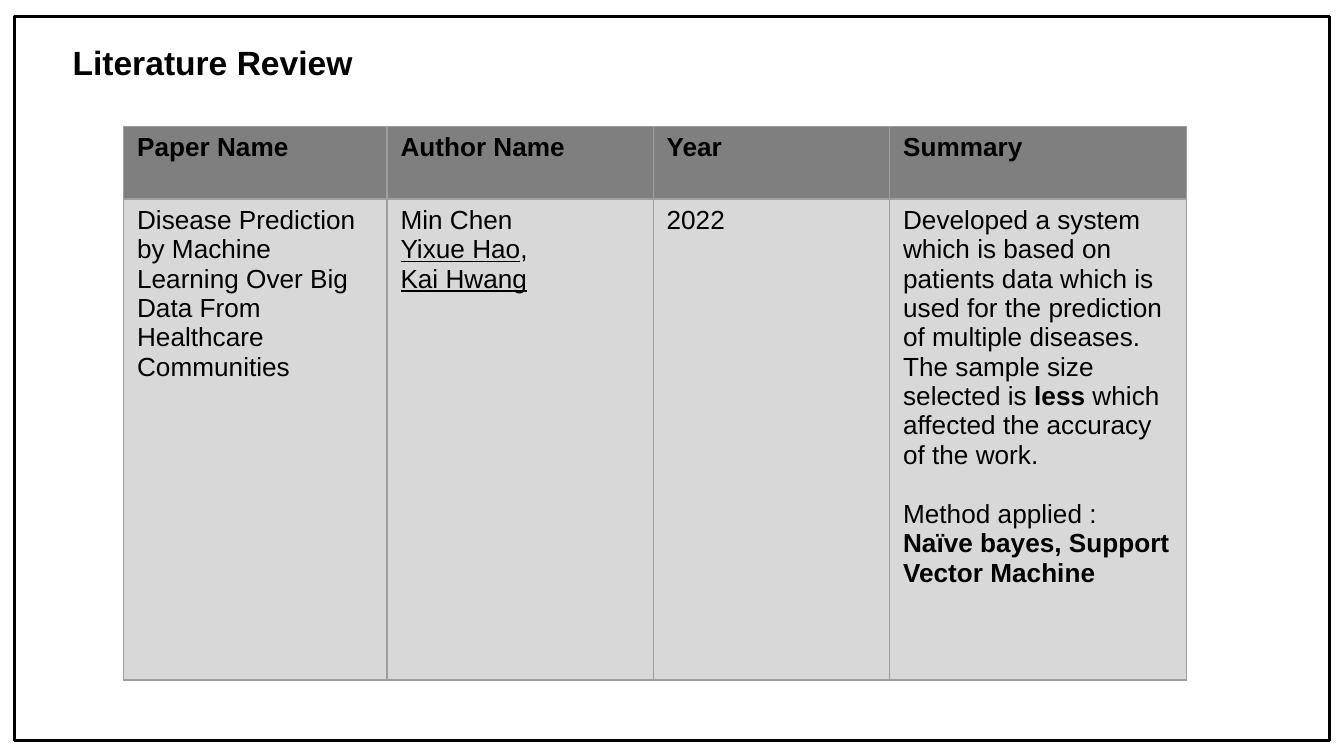
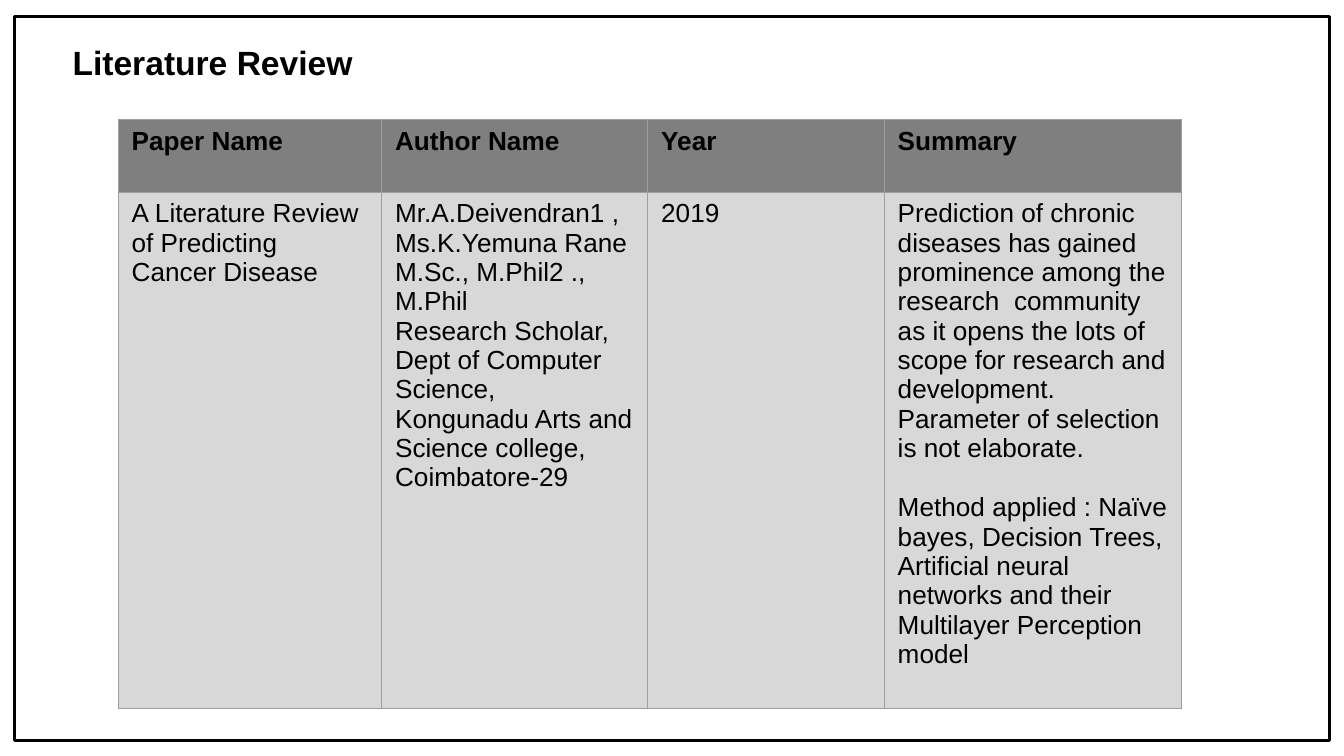
from pptx import Presentation
from pptx.dml.color import RGBColor as RGB
from pptx.enum.shapes import MSO_SHAPE as SHAPE
from pptx.enum.text import MSO_ANCHOR as ANCHOR, MSO_AUTO_SIZE as FIT, PP_ALIGN as ALIGN
from pptx.oxml import parse_xml
from pptx.oxml.ns import nsdecls
from pptx.util import Inches, Pt

TITLE = "Literature Review"
HEADS = ["Paper Name", "Author Name", "Year", "Summary"]
BOLD = {"bold": True}
LINE = {"underline": True}

PAPERS = [
    {
        "at": (0.92, 0.94),
        "rows": (0.54, 3.58),
        "cells": [
            [[("Disease Prediction by Machine Learning Over Big Data From "
               "Healthcare Communities", {})]],
            [[("Min Chen", {})],
             [("Yixue Hao", LINE), (",", {})],
             [("Kai Hwang", LINE)]],
            [[("2022", {})]],
            [[("Developed a system which is based on patients data which is used "
               "for the prediction of multiple diseases. The sample size selected is ", {}),
              ("less", BOLD),
              (" which affected the accuracy of the work.", {})],
             [("Method applied : ", {}),
              ("Naïve bayes, Support Vector Machine", BOLD)]],
        ],
    },
    {
        "at": (0.88, 0.89),
        "rows": (0.54, 3.84),
        "cells": [
            [[("A Literature Review of Predicting Cancer Disease", {})]],
            [[("Mr.A.Deivendran1 , Ms.K.Yemuna Rane M.Sc., M.Phil2 ., M.Phil", {})],
             [("Research Scholar, Dept of Computer Science, Kongunadu Arts and "
               "Science college, Coimbatore-29", {})]],
            [[("2019", {})]],
            [[("Prediction of chronic diseases has gained prominence among the "
               "research  community as it opens the lots of scope for research and "
               "development. Parameter of selection is not elaborate.", {})],
             [("Method applied : Naïve bayes, Decision Trees, Artificial neural "
               "networks and their Multilayer Perception model", {})]],
        ],
    },
]

COLS = (1.96, 1.98, 1.76, 2.21)
BLACK, DARK, LIGHT, EDGE = "000000", "7F7F7F", "D8D8D8", "9E9E9E"
BODY = {"name": "Arial", "size": Pt(14), "bold": False}
HEAD = {**BODY, "bold": True}
TOP = {**HEAD, "size": Pt(18)}
GAP = Pt(16)


def paint(part, hue):
    part.rgb = RGB.from_string(hue)


def write(par, text, form):
    run = par.add_run()
    run.text = text
    for key, val in form.items():
        setattr(run.font, key, val)
    paint(run.font.color, BLACK)


def place(shape, *box):
    for key, val in zip(("left", "top", "width", "height"), box):
        setattr(shape, key, Inches(val))


def add_frame(slide):
    frame = slide.shapes.add_shape(SHAPE.RECTANGLE, 0, 0, 0, 0)
    place(frame, 0.11, 0.12, 9.78, 5.39)
    frame.fill.background()
    paint(frame.line.color, BLACK)
    frame.line.width = Pt(1.5)
    frame.shadow.inherit = False
    slide.slide_layout.shapes.element.append(frame.element)


def add_title(slide):
    title = slide.shapes.title
    place(title, 0.44, 0.26, 4.44, 0.4)
    box = title.text_frame
    for key, val in {"auto_size": FIT.NONE, "word_wrap": True,
                     "vertical_anchor": ANCHOR.TOP}.items():
        setattr(box, key, val)
    box.paragraphs[0].alignment = ALIGN.LEFT
    write(box.paragraphs[0], TITLE, TOP)


def fill_cell(cell, pars, form, hue, gap):
    props = cell._tc.get_or_add_tcPr()
    for side in "LRTB":
        props.append(parse_xml(
            f'<a:ln{side} {nsdecls("a")} w="{Pt(0.75)}"><a:solidFill>'
            f'<a:srgbClr val="{EDGE}"/></a:solidFill></a:ln{side}>'))
    cell.fill.solid()
    paint(cell.fill.fore_color, hue)
    box = cell.text_frame
    for num, runs in enumerate(pars):
        par = box.add_paragraph() if num else box.paragraphs[0]
        if num and gap:
            par.space_before = gap
        for text, extra in runs:
            write(par, text, {**form, **extra})


def add_grid(slide, paper):
    left, top = paper["at"]
    size = (left, top, sum(COLS), sum(paper["rows"]))
    grid = slide.shapes.add_table(2, len(COLS), *map(Inches, size)).table
    for row, high in zip(grid.rows, paper["rows"]):
        row.height = Inches(high)
    for num, wide in enumerate(COLS):
        grid.columns[num].width = Inches(wide)
        gap = GAP if HEADS[num] == "Summary" else None
        fill_cell(grid.cell(0, num), [[(HEADS[num], {})]], HEAD, DARK, None)
        fill_cell(grid.cell(1, num), paper["cells"][num], BODY, LIGHT, gap)


def main():
    deck = Presentation()
    deck.slide_width = Inches(10)
    deck.slide_height = deck.slide_width * 9 // 16
    for num, paper in enumerate(PAPERS):
        slide = deck.slides.add_slide(deck.slide_layouts[5])
        if num == 0:
            add_frame(slide)
        add_title(slide)
        add_grid(slide, paper)
    deck.save("out.pptx")


if __name__ == "__main__":
    main()
